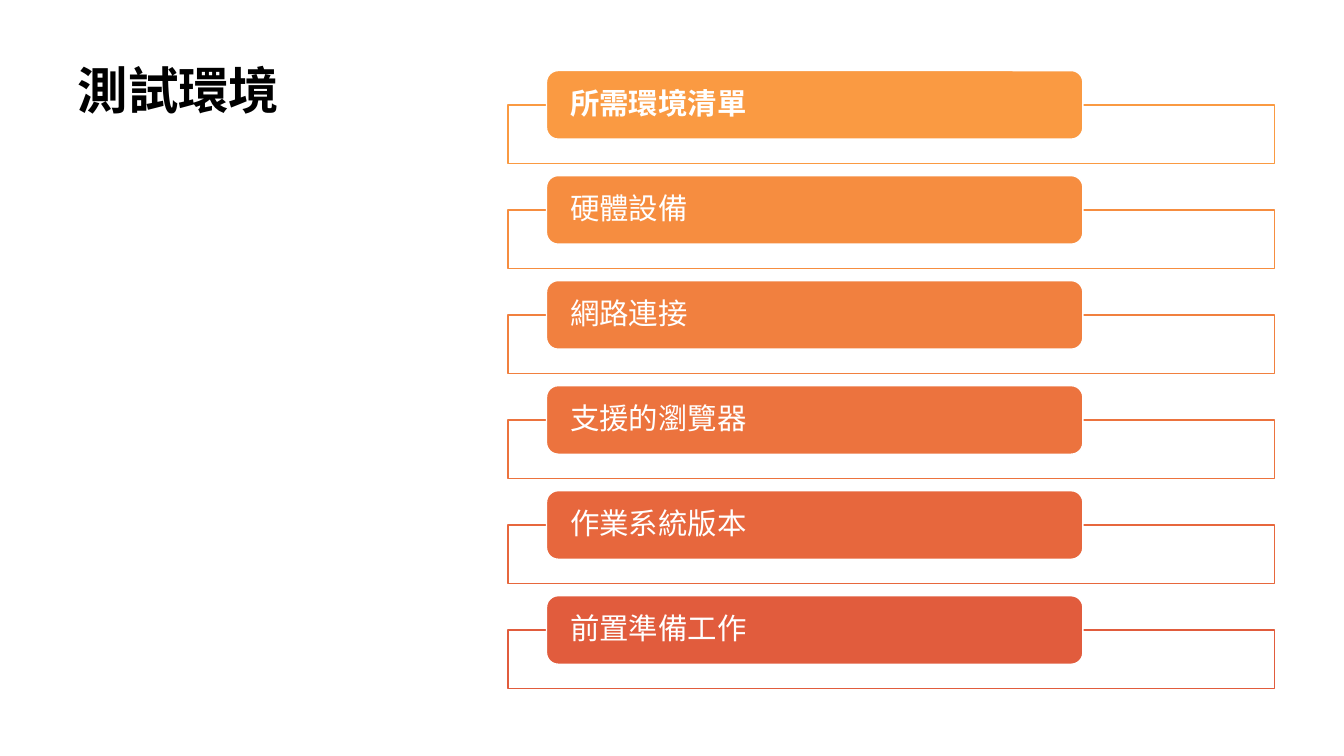
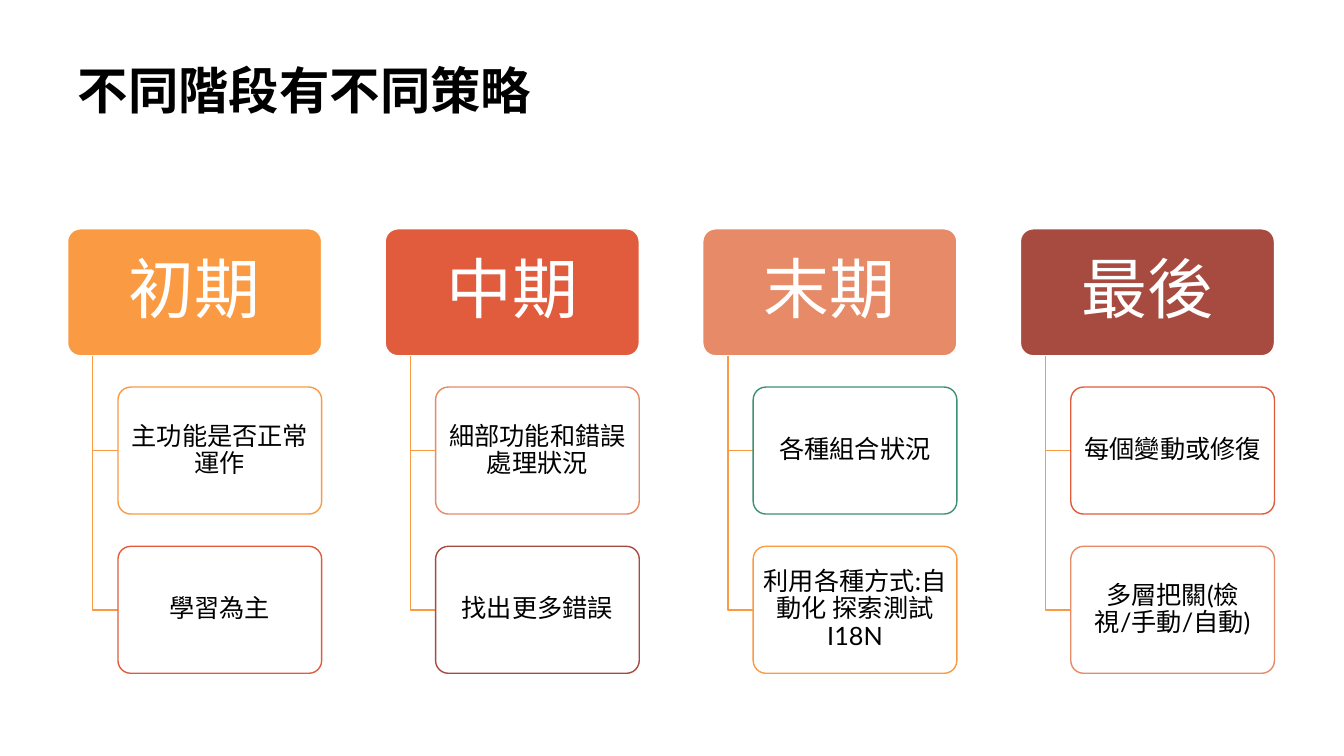
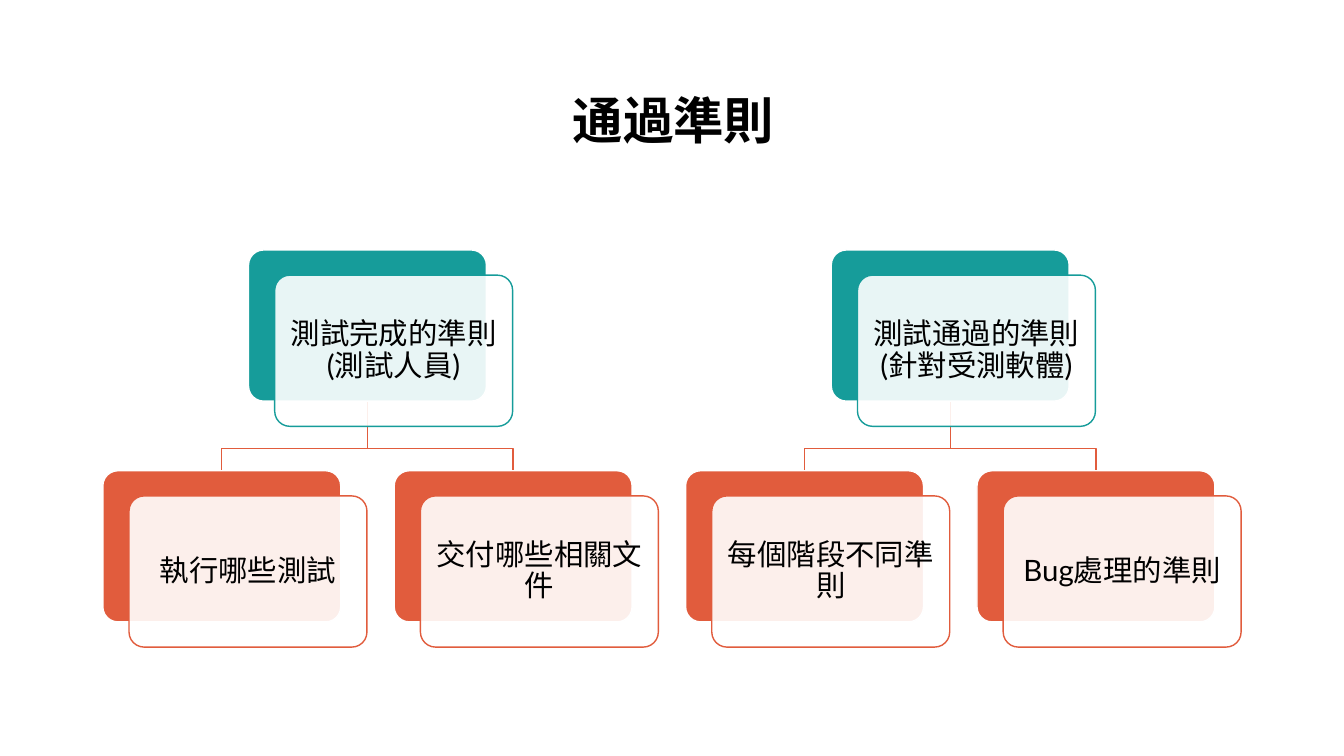
import pptx
import pptx.util
import pptx.dml.color
import pptx.enum.shapes
import pptx.enum.text
import lxml.etree

Inches = pptx.util.Inches
Pt = pptx.util.Pt
RGBColor = pptx.dml.color.RGBColor
SHAPE = pptx.enum.shapes.MSO_SHAPE
ANCHOR = pptx.enum.text.MSO_ANCHOR
ALIGN = pptx.enum.text.PP_ALIGN

FONT = "Lato"
WHITE = RGBColor(0xFF, 0xFF, 0xFF)
BLACK = RGBColor(0x00, 0x00, 0x00)
ORANGE = RGBColor(0xFA, 0x9A, 0x42)
RED = RGBColor(0xE1, 0x5C, 0x3D)
SALMON = RGBColor(0xE7, 0x8A, 0x67)
BROWN = RGBColor(0xA7, 0x4B, 0x40)
GREEN = RGBColor(0x3D, 0x90, 0x72)
TEAL = RGBColor(0x16, 0x9C, 0x9A)
ORANGE_2 = RGBColor(0xF6, 0x8D, 0x40)
ORANGE_3 = RGBColor(0xF1, 0x80, 0x3F)
ORANGE_4 = RGBColor(0xEC, 0x73, 0x3E)
ORANGE_5 = RGBColor(0xE7, 0x67, 0x3D)


def add_box(s, x, y, w, h, color, solid=True, text="", size=21, bold=False,
            align=ALIGN.CENTER, inset=(0, 0), adj=0.1, kind=SHAPE.ROUNDED_RECTANGLE):
    sp = s.shapes.add_shape(kind, Inches(x), Inches(y), Inches(w), Inches(h))
    sp.shadow.inherit = False
    if kind == SHAPE.ROUNDED_RECTANGLE:
        sp.adjustments[0] = adj
    sp.fill.solid()
    sp.fill.fore_color.rgb = color if solid else WHITE
    sp.line.color.rgb = WHITE if solid else color
    sp.line.width = Pt(1)
    if not solid:
        clr = sp.fill._xPr.find(".//" + pptx.oxml.ns.qn("a:srgbClr"))
        lxml.etree.SubElement(clr, pptx.oxml.ns.qn("a:alpha"), val="90000")
    if text:
        tf = sp.text_frame
        tf.word_wrap = True
        tf.vertical_anchor = ANCHOR.MIDDLE
        tf.margin_left = tf.margin_right = Inches(inset[0])
        tf.margin_top = tf.margin_bottom = Inches(inset[1])
        p = tf.paragraphs[0]
        p.alignment = align
        p.line_spacing = 0.9
        r = p.add_run()
        r.text = text
        r.font.name = FONT
        r.font.size = Pt(size)
        r.font.bold = bold
        r.font.color.rgb = WHITE if solid else BLACK


def add_elbow(s, points, color):
    points = [(Inches(x), Inches(y)) for x, y in points]
    fb = s.shapes.build_freeform(*points[0])
    fb.add_line_segments(points[1:], close=False)
    sp = fb.convert_to_shape()
    sp.shadow.inherit = False
    sp.fill.background()
    sp.line.color.rgb = color
    sp.line.width = Pt(1)


prs = pptx.Presentation()
prs.slide_width = Inches(13.33)
prs.slide_height = Inches(7.5)

titles = [
    ("測試環境", 0.67, 3.82, 6.33, ANCHOR.TOP, ALIGN.LEFT),
    ("不同階段有不同策略", 0.67, 11.97, 1.24, ANCHOR.TOP, ALIGN.LEFT),
    ("通過準則", 1.67, 10.02, 1.24, ANCHOR.MIDDLE, ALIGN.CENTER),
]
for text, x, w, h, anchor, align in titles:
    s = prs.slides.add_slide(prs.slide_layouts[5])
    title = s.shapes.title
    title.left, title.top = Inches(x), Inches(0.6)
    title.width, title.height = Inches(w), Inches(h)
    tf = title.text_frame
    tf.word_wrap = True
    tf.auto_size = pptx.enum.text.MSO_AUTO_SIZE.NONE
    tf.vertical_anchor = anchor
    p = tf.paragraphs[0]
    p.alignment = align
    p.line_spacing = 0.9
    r = p.add_run()
    r.text = text
    r.font.name = FONT
    r.font.size = Pt(36)
    r.font.bold = True
    r.font.color.rgb = BLACK

environment, stages, criteria = prs.slides

items = [
    ("所需環境清單", ORANGE),
    ("硬體設備", ORANGE_2),
    ("網路連接", ORANGE_3),
    ("支援的瀏覽器", ORANGE_4),
    ("作業系統版本", ORANGE_5),
    ("前置準備工作", RED),
]
for i, (text, color) in enumerate(items):
    y = 0.7 + i * 5.21 / 5
    add_box(environment, 5.04, y + 0.34, 7.6, 0.58, color, solid=False, kind=SHAPE.RECTANGLE)
    add_box(environment, 5.42, y, 5.32, 0.68, color, text=text, bold=i == 0,
            align=ALIGN.LEFT, inset=(0.2, 0), adj=0.17)

columns = [
    ("初期", ORANGE, [("主功能是否正常運作", ORANGE), ("學習為主", RED)]),
    ("中期", RED, [("細部功能和錯誤處理狀況", SALMON), ("找出更多錯誤", BROWN)]),
    ("末期", SALMON, [("各種組合狀況", GREEN), ("利用各種方式:自動化 探索測試 I18N", ORANGE)]),
    ("最後", BROWN, [("每個變動或修復", RED), ("多層把關(檢視/手動/自動)", SALMON)]),
]
for i, (stage, color, tasks) in enumerate(columns):
    x = 0.67 + i * 3.15
    add_box(stages, x, 2.27, 2.52, 1.26, color, text=stage, size=47, inset=(0.1, 0.07))
    for j, (task, task_color) in enumerate(tasks):
        y = 3.84 + j * 1.58
        mid = y + 0.63
        add_elbow(stages, [(x + 0.25, 3.53), (x + 0.25, mid), (x + 0.5, mid)], ORANGE)
        add_box(stages, x + 0.5, y, 2.02, 1.26, task_color, solid=False, text=task,
                size=18, inset=(0.04, 0.03))

CARD_W, CARD_H, PITCH = 2.36, 1.5, 2.89
PARENT_Y, CHILD_Y = 2.48, 4.67
groups = [
    ("測試完成的準則(測試人員)", ["執行哪些測試", "交付哪些相關文件"]),
    ("測試通過的準則(針對受測軟體)", ["每個階段不同準則", "Bug處理的準則"]),
]
cards = []
for i, (parent, children) in enumerate(groups):
    x = 1.02 + i * 2 * PITCH
    parent_x = x + PITCH / 2
    cards.append((parent, parent_x, PARENT_Y, TEAL))
    for j, child in enumerate(children):
        child_x = x + j * PITCH
        cards.append((child, child_x, CHILD_Y, RED))
        start, end = parent_x + CARD_W / 2, child_x + CARD_W / 2
        add_elbow(criteria, [(start, PARENT_Y + CARD_H), (start, 4.45), (end, 4.45), (end, CHILD_Y)], RED)
for text, x, y, color in cards:
    add_box(criteria, x, y, CARD_W, CARD_H, color)
    add_box(criteria, x + 0.26, y + 0.25, CARD_W, CARD_H, color, solid=False, text=text,
            inset=(0.09, 0.09))

prs.save("out.pptx")
